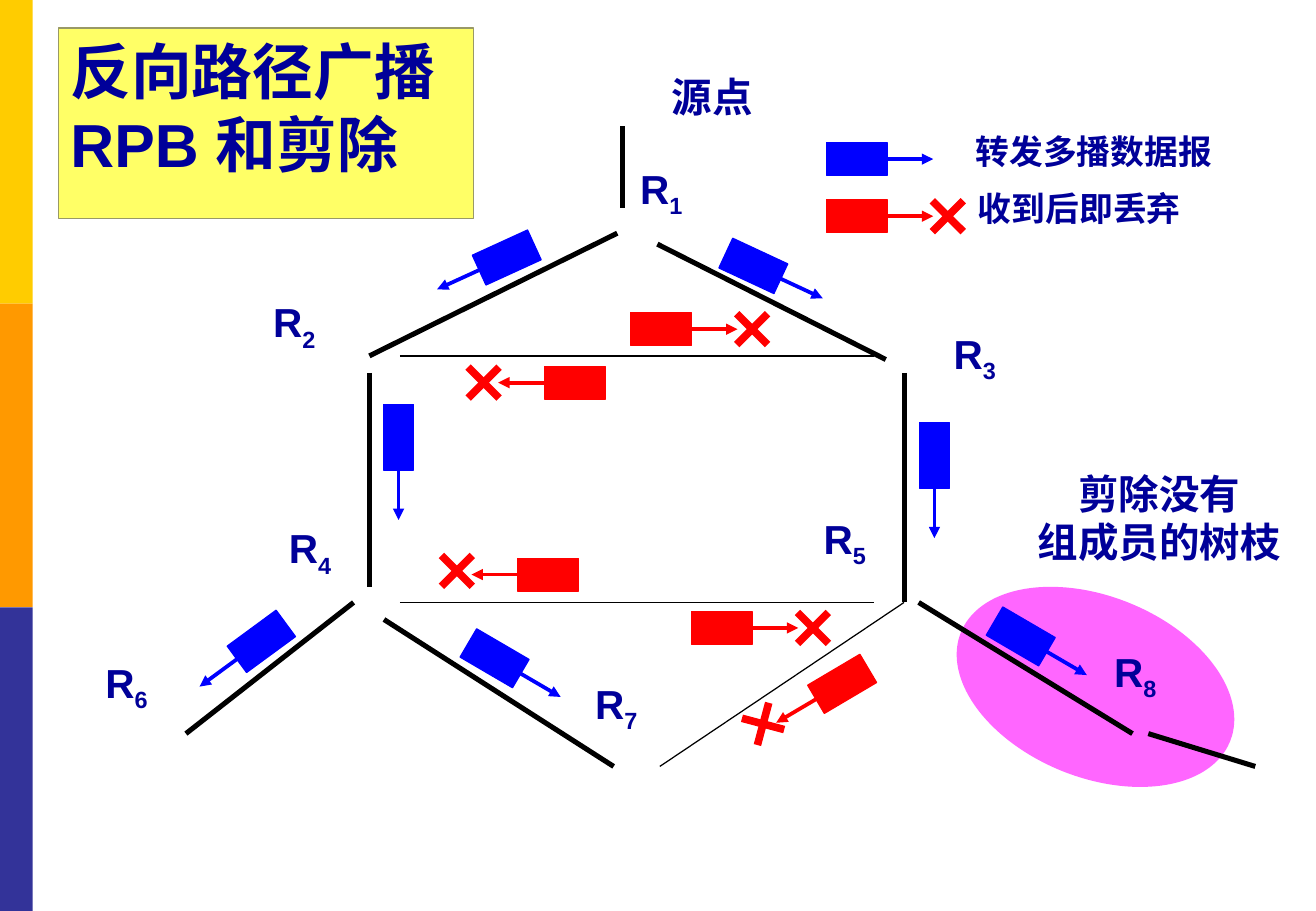
"""Build the slide on reverse path broadcasting and pruning."""
from math import cos, radians, sin

from lxml.etree import SubElement
from pptx import Presentation
from pptx.dml.color import RGBColor
from pptx.enum.shapes import MSO_CONNECTOR, MSO_SHAPE
from pptx.enum.text import MSO_ANCHOR, MSO_AUTO_SIZE, PP_ALIGN
from pptx.oxml.ns import qn
from pptx.util import Inches, Pt

COLOURS = {
    "yellow": "FFCC00", "orange": "FF9900", "indigo": "333399",
    "pink": "FF66FF", "black": "000000", "red": "FF0000", "blue": "0000FF",
    "navy": "000099", "lemon": "FFFF66", "olive": "999966",
}
RGB = {name: RGBColor.from_string(value) for name, value in COLOURS.items()}

deck = Presentation()
deck.slide_width, deck.slide_height = Inches(10.83), Inches(7.5)
page = deck.slides.add_slide(deck.slide_layouts[5])


def add_block(kind, left, top, width, height, colour, angle=0):
    block = page.shapes.add_shape(
        kind, Inches(left), Inches(top), Inches(width), Inches(height))
    block.shadow.inherit = False
    block.fill.solid()
    block.fill.fore_color.rgb = RGB[colour]
    block.line.fill.background()
    block.rotation = angle
    return block


def add_line(x1, y1, x2, y2, colour, weight):
    line = page.shapes.add_connector(
        MSO_CONNECTOR.STRAIGHT, Inches(x1), Inches(y1), Inches(x2), Inches(y2))
    line.line.color.rgb = RGB[colour]
    line.line.width = Pt(weight)
    SubElement(line._element.spPr, qn("a:effectLst"))
    return line


for row, colour in enumerate(["yellow", "orange", "indigo"]):
    add_block(MSO_SHAPE.RECTANGLE, 0, 2.5 * row, 0.27, 2.5, colour)
add_block(MSO_SHAPE.OVAL, 7.82, 4.91, 2.39, 1.49, "pink", 22.1)

links = [
    (9.45, 6.04, 10.33, 6.31, 3),
    (5.12, 1.04, 5.12, 1.71, 3),
    (3.04, 2.93, 5.08, 1.92, 3),
    (3.29, 4.96, 7.19, 4.96, 0.75),
    (3.29, 2.93, 7.19, 2.93, 0.75),
    (5.41, 2.01, 7.29, 2.96, 3),
    (3.04, 3.07, 3.04, 4.83, 3),
    (3.16, 5.1, 5.05, 6.31, 3),
    (7.44, 3.07, 7.44, 4.96, 3),
    (7.44, 4.96, 5.43, 6.31, 0.75),
    (2.91, 4.96, 1.53, 6.04, 3),
    (7.56, 4.96, 9.32, 6.04, 3),
]
for x1, y1, x2, y2, weight in links:
    add_line(x1, y1, x2, y2, "black", weight)

packets = [
    (7.69, 3.75, 90, "blue"), (3.28, 3.6, 90, "blue"),
    (2.15, 5.28, 143.7, "blue"), (4.07, 5.42, 30.3, "blue"),
    (6.2, 2.19, 25, "blue"), (4.17, 2.12, 155.4, "blue"),
    (8.4, 5.24, 30.3, "blue"), (7.05, 1.31, 0, "blue"),
    (4.73, 3.15, 180, "red"), (5.44, 2.71, 0, "red"),
    (5.94, 5.17, 0, "red"), (4.51, 4.73, 180, "red"),
    (6.93, 5.63, 149.4, "red"), (7.05, 1.78, 0, "red"),
]
for x, y, angle, colour in packets:
    width, height = (0.54, 0.25) if angle == 90 else (0.5, 0.27)
    block = add_block(MSO_SHAPE.RECTANGLE, x - width / 2, y - height / 2,
                      width, height, colour, angle)
    block.line.color.rgb = RGB[colour]
    block.line.width = Pt(0.75)
    dx, dy = width * cos(radians(angle)), width * sin(radians(angle))
    arrow = add_line(x - dx / 4, y - dy / 4, x + 1.26 * dx, y + 1.26 * dy,
                     colour, 2.25)
    SubElement(arrow.line._get_or_add_ln(), qn("a:tailEnd"), type="triangle")

crosses = [(6.19, 2.71, 0), (3.98, 3.15, 0), (6.69, 5.17, 0),
           (3.76, 4.7, 0), (6.28, 5.96, -30), (7.8, 1.78, 0)]
for x, y, tilt in crosses:
    for arm in (45, 135):
        dx = 0.18 * cos(radians(tilt + arm))
        dy = 0.18 * sin(radians(tilt + arm))
        add_line(x - dx, y - dy, x + dx, y + dy, "red", 4.5)

routers = [(5.17, 1.3), (2.15, 2.4), (7.75, 2.66), (2.28, 4.26),
           (6.68, 4.18), (0.77, 5.37), (4.8, 5.54), (9.07, 5.28)]
labels = [(x, y, 0.57, 0.5, 24, ["R"], str(number))
          for number, (x, y) in enumerate(routers, 1)]
labels += [
    (8.43, 3.81, 2.22, 0.91, 24, ["剪除没有", "组成员的树枝"], ""),
    (5.43, 0.54, 0.88, 0.5, 24, ["源点"], ""),
    (7.93, 1.03, 2.18, 0.44, 20, ["转发多播数据报"], ""),
    (7.95, 1.5, 1.9, 0.44, 20, ["收到后即丢弃"], ""),
]
for left, top, width, height, size, lines, subscript in labels:
    box = page.shapes.add_textbox(
        Inches(left), Inches(top), Inches(width), Inches(height))
    box.text_frame.word_wrap = False
    box.text_frame.auto_size = MSO_AUTO_SIZE.SHAPE_TO_FIT_TEXT
    box.text_frame.text = "\n".join(lines)
    if subscript:
        span = box.text_frame.paragraphs[0].add_run()
        span.text = subscript
        span._r.get_or_add_rPr().set("baseline", "-25000")
    for para in box.text_frame.paragraphs:
        para.alignment = PP_ALIGN.CENTER if len(lines) > 1 else PP_ALIGN.LEFT
        for span in para.runs:
            span.font.name = "Arial"
            span.font.size = Pt(size)
            span.font.bold = True
            span.font.color.rgb = RGB["navy"]

title = page.shapes.title
title.left, title.top = Inches(0.48), Inches(0.23)
title.width, title.height = Inches(3.42), Inches(1.31)
title.fill.solid()
title.fill.fore_color.rgb = RGB["lemon"]
title.line.color.rgb = RGB["olive"]
title.line.width = Pt(0.75)
title.text_frame.text = "反向路径广播 RPB 和剪除"
title.text_frame.word_wrap = True
title.text_frame.auto_size = MSO_AUTO_SIZE.SHAPE_TO_FIT_TEXT
title.text_frame.vertical_anchor = MSO_ANCHOR.TOP
para = title.text_frame.paragraphs[0]
para.alignment = PP_ALIGN.LEFT
span = para.runs[0]
span.font.name = "Arial"
span.font.size = Pt(36)
span.font.bold = True
span.font.color.rgb = RGB["navy"]

deck.save("out.pptx")
